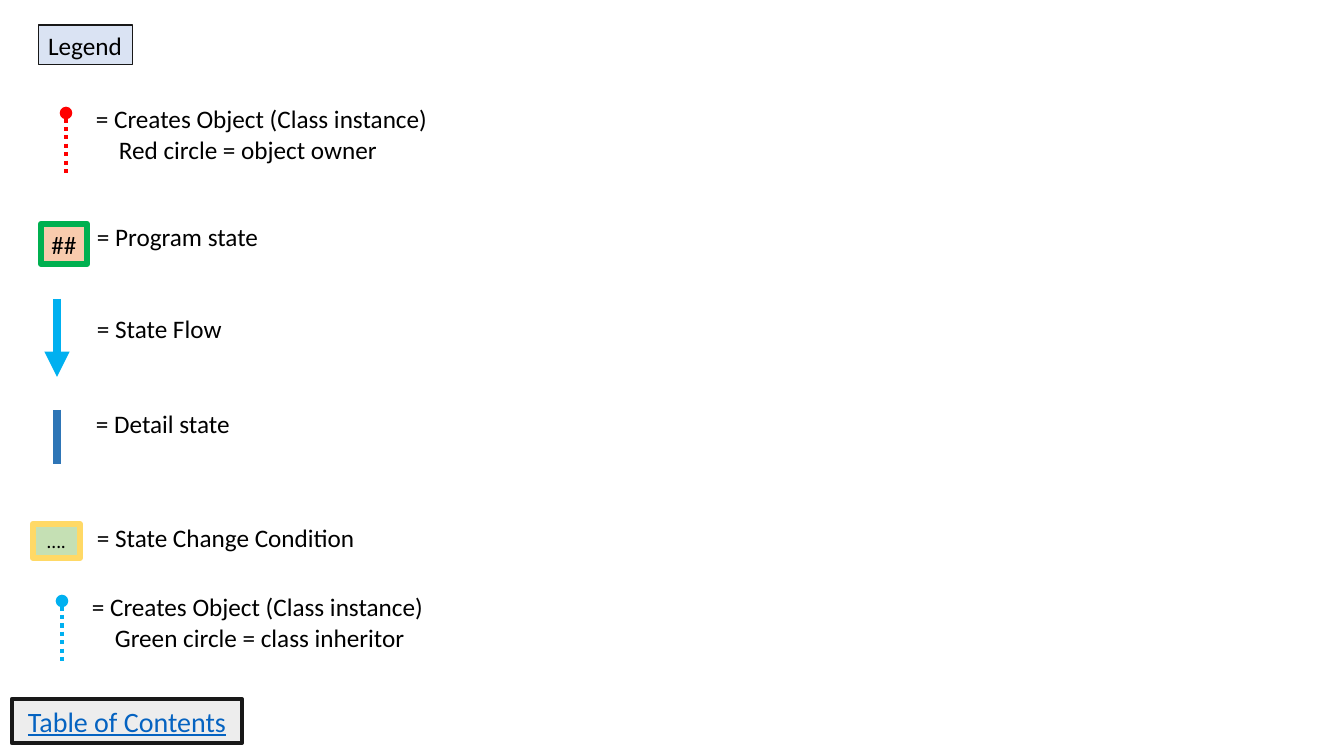
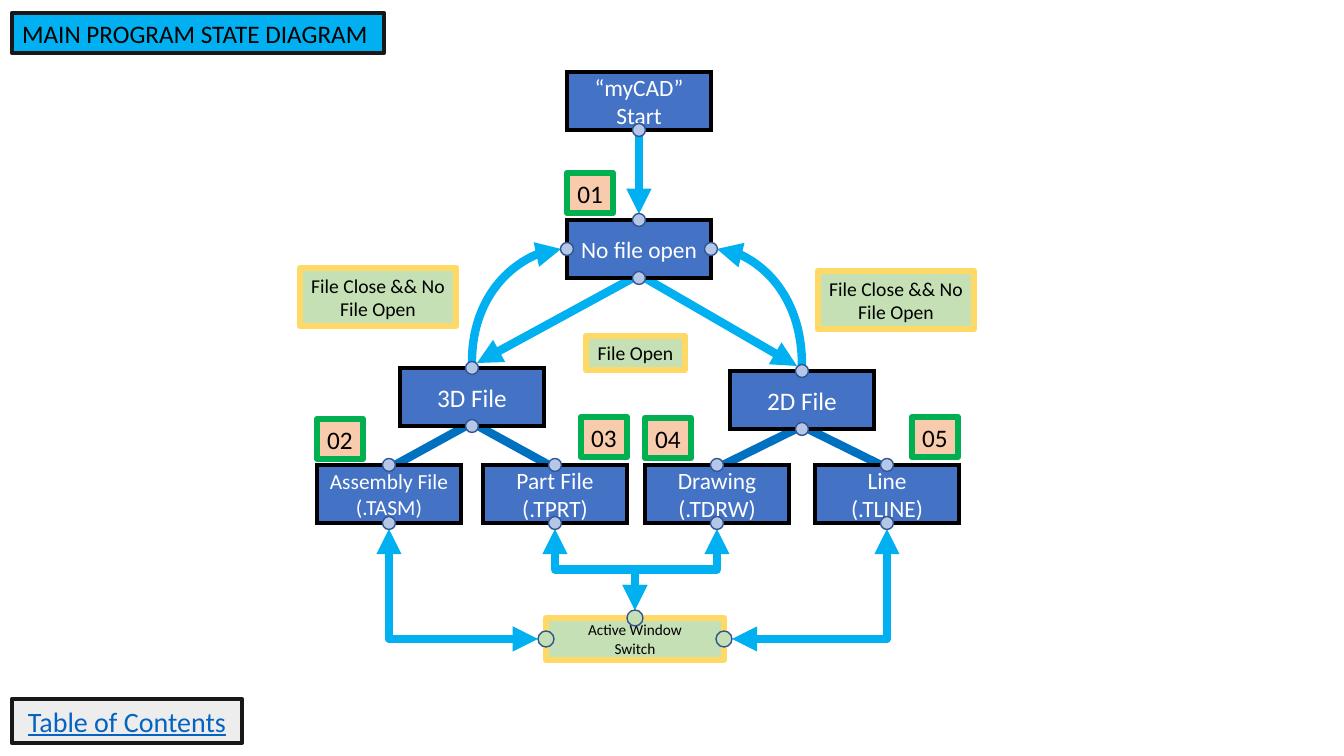
from lxml.etree import SubElement
from pptx import Presentation
from pptx.dml.color import RGBColor
from pptx.enum.dml import MSO_LINE
from pptx.enum.shapes import MSO_CONNECTOR as LINK, MSO_SHAPE as SHAPE
from pptx.enum.text import MSO_ANCHOR, MSO_AUTO_SIZE, PP_ALIGN
from pptx.oxml.ns import qn
from pptx.util import Emu, Pt

FONT = "Calibri"
BLACK = RGBColor(0x00, 0x00, 0x00)
WHITE = RGBColor(0xFF, 0xFF, 0xFF)
INK = RGBColor(0x18, 0x18, 0x18)
RED = RGBColor(0xFF, 0x00, 0x00)
SKY = RGBColor(0x00, 0xB0, 0xF0)
DETAIL = RGBColor(0x00, 0x70, 0xC0)
DETAIL_KEY = RGBColor(0x2E, 0x75, 0xB6)
STATE = RGBColor(0x44, 0x72, 0xC4)
PORT = RGBColor(0xB4, 0xC7, 0xE7)
PORT_EDGE = RGBColor(0x32, 0x54, 0x91)
PEACH = RGBColor(0xF8, 0xCB, 0xAD)
GREEN = RGBColor(0x00, 0xB0, 0x50)
SAGE = RGBColor(0xC5, 0xE0, 0xB4)
YELLOW = RGBColor(0xFF, 0xD9, 0x66)
PALE_BLUE = RGBColor(0xDA, 0xE3, 0xF3)
GREY = RGBColor(0xED, 0xED, 0xED)
LINK_BLUE = RGBColor(0x05, 0x63, 0xC1)

STATE_W, STATE_H = 144, 58
WINDOW_W, WINDOW_H = 178, 42
PORT_SIZE, WINDOW_PORT_SIZE = 13, 16
REACH, WINDOW_REACH = 6, 8
TOP, BOTTOM, LEFT, RIGHT = (0, -1), (0, 1), (-1, 0), (1, 0)


def px(length):
    return Emu(round(length * 914400 / 100.8))


def write(frame, lines, size, color=BLACK, align=PP_ALIGN.CENTER,
          wrap=True, underline=None, hanging=0):
    frame.auto_size = MSO_AUTO_SIZE.NONE
    frame.word_wrap = wrap
    frame.vertical_anchor = MSO_ANCHOR.MIDDLE
    for index, line in enumerate(lines):
        paragraph = frame.add_paragraph() if index else frame.paragraphs[0]
        paragraph.alignment = align
        if index and hanging:
            paragraph._p.get_or_add_pPr().set("marL", str(px(hanging)))
        run = paragraph.add_run()
        run.text = line
        run.font.name = FONT
        run.font.size = Pt(size)
        run.font.color.rgb = color
        run.font.underline = underline


def paint(shape, fill, edge, weight):
    shape.fill.solid()
    shape.fill.fore_color.rgb = fill
    shape.line.color.rgb = edge
    shape.line.width = Pt(weight)


def block(slide, kind, box, fill, edge, weight):
    shape = slide.shapes.add_shape(kind, *map(px, box))
    shape.shadow.inherit = False
    paint(shape, fill, edge, weight)
    return shape


def badge(slide, left, top, number):
    square = block(slide, SHAPE.RECTANGLE, (left, top, 46, 40), PEACH, GREEN, 4.5)
    write(square.text_frame, [number], 18, wrap=False)


def condition(slide, box, lines, size=14, wrap=True):
    plate = block(slide, SHAPE.RECTANGLE, box, SAGE, YELLOW, 4.5)
    write(plate.text_frame, lines, size, wrap=wrap)


def link(slide, start, end, color=SKY, weight=6, head=None, tail=None,
         kind=LINK.STRAIGHT, preset=None, dotted=False):
    connector = slide.shapes.add_connector(kind, *map(px, (*start, *end)))
    connector.line.color.rgb = color
    connector.line.width = Pt(weight)
    if dotted:
        connector.line.dash_style = MSO_LINE.ROUND_DOT
    properties = connector._element.spPr
    outline = properties.find(qn("a:ln"))
    for tag, tip in (("a:headEnd", head), ("a:tailEnd", tail)):
        if tip:
            SubElement(outline, qn(tag), type=tip)
    if preset:
        properties.find(qn("a:prstGeom")).set("prst", preset)
    SubElement(properties, qn("a:effectLst"))
    return connector


def corner(slide, start, end, kind, preset, tail=None):
    link(slide, start, end, head="triangle", tail=tail, kind=kind, preset=preset)


def step_down(slide, start, end):
    middle_x, middle_y = (start[0] + end[0]) / 2, (start[1] + end[1]) / 2
    half_drop = (end[1] - start[1]) / 2
    half_span = abs(end[0] - start[0]) / 2
    leftward = end[0] < start[0]
    run = half_drop if leftward else -half_drop
    connector = link(slide, (middle_x - run, middle_y - half_span),
                     (middle_x + run, middle_y + half_span),
                     head="triangle", tail="triangle", kind=LINK.ELBOW)
    turn = 90 if leftward else 270
    connector._element.spPr.find(qn("a:xfrm")).set("rot", str(turn * 60000))


def titled_slide(deck, title, box, fill, weight, wrap):
    slide = deck.slides.add_slide(deck.slide_layouts[5])
    heading = slide.shapes.title
    heading.left, heading.top, heading.width, heading.height = map(px, box)
    paint(heading, fill, INK, weight)
    write(heading.text_frame, [title], 18, align=PP_ALIGN.LEFT, wrap=wrap)
    return slide


def contents_button(slide):
    button = block(slide, SHAPE.RECTANGLE, (12, 699, 230, 44), GREY, INK, 3)
    write(button.text_frame, ["Table of Contents"], 20, LINK_BLUE, underline=True)


def caption(slide, left, top, lines):
    height = 10 + 30 * len(lines)
    label = slide.shapes.add_textbox(*map(px, (left, top, 377, height)))
    write(label.text_frame, lines, 18, align=PP_ALIGN.LEFT, hanging=23)


def owner_entry(slide, left, top, color, note):
    link(slide, (left - 20, top + 14), (left - 20, top + 76), color, 3,
         head="oval", dotted=True)
    caption(slide, left, top, ["= Creates Object (Class instance)", note])


def legend(slide, left, top):
    owner_entry(slide, left, top, RED, "Red circle = object owner")

    badge(slide, left - 45, top + 125, "##")
    caption(slide, left + 1, top + 117, ["= Program state"])

    link(slide, (left - 29, top + 200), (left - 29, top + 278), tail="triangle")
    caption(slide, left + 1, top + 209, ["= State Flow"])

    link(slide, (left - 29, top + 311), (left - 29, top + 365), DETAIL_KEY)
    caption(slide, left, top + 304, ["= Detail state"])

    condition(slide, (left - 53, top + 425, 47, 34), ["…."], wrap=False)
    caption(slide, left + 1, top + 418, ["= State Change Condition"])

    owner_entry(slide, left - 4, top + 488, SKY, "Green circle = class inheritor")


def port_center(box, side):
    left, top, width, height = box
    return (left + width * (1 + side[0]) / 2, top + height * (1 + side[1]) / 2)


def port_tip(box, side, toward, reach=REACH):
    x, y = port_center(box, side)
    return x + toward[0] * reach, y + toward[1] * reach


def port(slide, box, side, fill=PORT, size=PORT_SIZE):
    x, y = port_center(box, side)
    block(slide, SHAPE.OVAL, (x - size / 2, y - size / 2, size, size),
          fill, PORT_EDGE, 1)


def state(slide, box, lines, size, sides):
    tile = block(slide, SHAPE.RECTANGLE, box, STATE, BLACK, 3)
    SubElement(tile._element.spPr.find(qn("a:ln")), qn("a:miter"), lim="800000")
    write(tile.text_frame, lines, size, WHITE)
    for side in sides:
        port(slide, box, side)


def state_diagram(slide, left, top):
    def at(x, y, width=STATE_W, height=STATE_H):
        return left + x, top + y, width, height

    start, no_file = at(267, 0), at(267, 148)
    file_3d, file_2d = at(100, 296), at(430, 299)
    assembly, part, drawing, line = [at(x, 393) for x in (17, 183, 345, 515)]
    window = at(246, 546, WINDOW_W, WINDOW_H)

    link(slide, port_tip(start, BOTTOM, BOTTOM), port_tip(no_file, TOP, TOP),
         tail="triangle")
    for kind, toward, children in ((file_3d, LEFT, (assembly, part)),
                                   (file_2d, RIGHT, (drawing, line))):
        back = (-toward[0], -1)
        link(slide, port_tip(no_file, BOTTOM, toward),
             port_tip(kind, TOP, back, 5), tail="triangle")
        corner(slide, port_tip(no_file, toward, toward), port_tip(kind, TOP, TOP),
               LINK.CURVE, "curvedConnector2")
        for child, outward, inward in zip(children, (LEFT, RIGHT), (RIGHT, LEFT)):
            link(slide, port_tip(kind, BOTTOM, outward),
                 port_tip(child, TOP, inward), DETAIL)

    for child in (part, drawing):
        step_down(slide, port_tip(child, BOTTOM, BOTTOM),
                  port_tip(window, TOP, TOP, WINDOW_REACH))
    for child, side in ((assembly, LEFT), (line, RIGHT)):
        corner(slide, port_tip(window, side, side, WINDOW_REACH),
               port_tip(child, BOTTOM, BOTTOM),
               LINK.ELBOW, "bentConnector2", "triangle")

    for x, y in ((518, 199), (0, 196)):
        condition(slide, at(x, y, 156, 58), ["File Close && No File Open"])
    condition(slide, at(286, 264, 99, 34), ["File Open"], wrap=False)

    ends = (TOP, BOTTOM)
    state(slide, no_file, ["No file open"], 16.7, (TOP, BOTTOM, RIGHT, LEFT))
    state(slide, start, ["“myCAD” Start"], 16.7, (BOTTOM,))
    state(slide, file_3d, ["3D File"], 18, ends)
    state(slide, file_2d, ["2D File"], 18, ends)
    state(slide, assembly, ["Assembly File", "(.TASM)"], 15.3, ends)
    state(slide, part, ["Part File", "(.TPRT)"], 16.7, ends)
    state(slide, drawing, ["Drawing", "(.TDRW)"], 16.7, ends)
    state(slide, line, ["Line", "(.TLINE)"], 16.7, ends)

    condition(slide, window, ["Active Window", "Switch"], 10.9)
    for side in (TOP, RIGHT, LEFT):
        port(slide, window, side, SAGE, WINDOW_PORT_SIZE)

    badge_spots = ((267, 101), (17, 347), (281, 345), (345, 346), (612, 345))
    for number, (x, y) in enumerate(badge_spots, 1):
        badge(slide, left + x, top + y, f"{number:02d}")


def legend_slide(deck):
    slide = titled_slide(deck, "Legend", (38, 25, 95, 40), PALE_BLUE, 0.75, False)
    legend(slide, 86, 99)
    contents_button(slide)


def diagram_slide(deck):
    slide = titled_slide(deck, "MAIN PROGRAM STATE DIAGRAM", (12, 13, 372, 40),
                         SKY, 3, True)
    state_diagram(slide, 300, 72)
    contents_button(slide)


deck = Presentation()
deck.slide_width, deck.slide_height = px(1344), px(756)
legend_slide(deck)
diagram_slide(deck)
deck.save("out.pptx")
